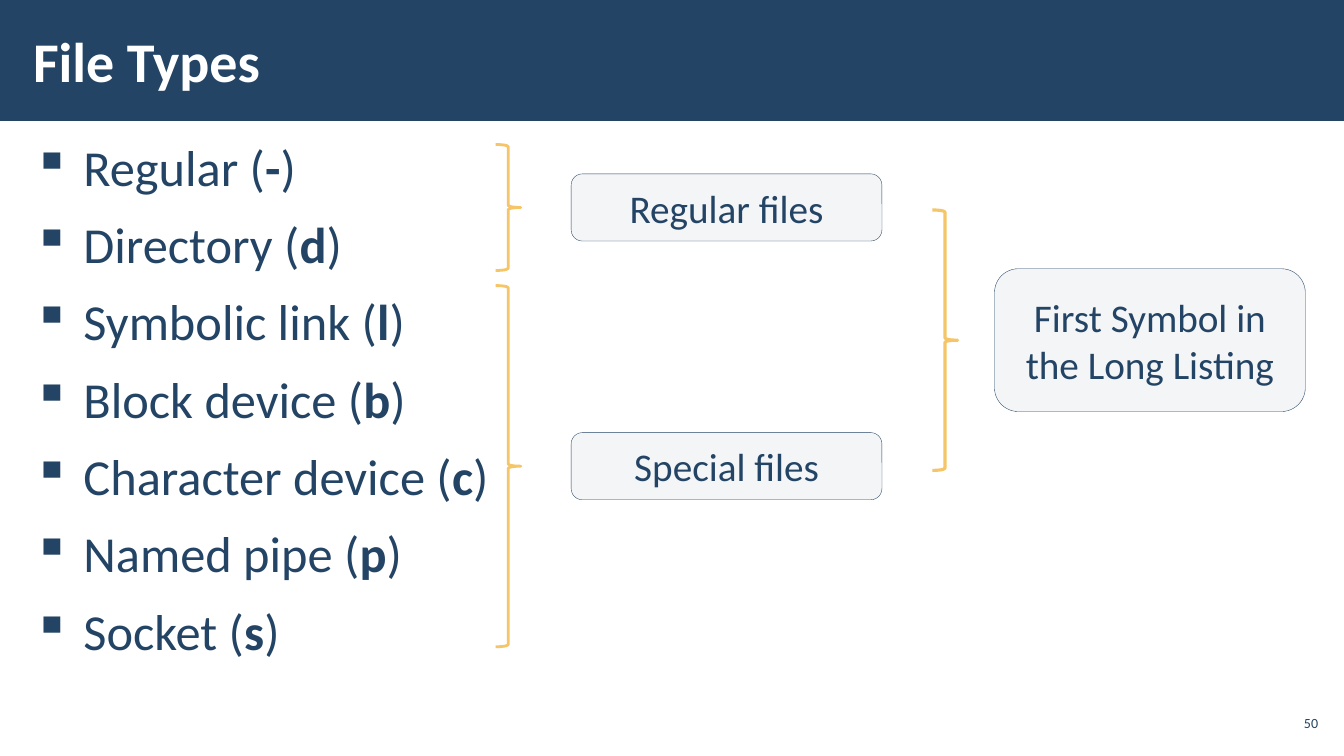
from dataclasses import dataclass

from lxml.etree import SubElement
from pptx import Presentation
from pptx.dml.color import RGBColor
from pptx.enum.shapes import MSO_SHAPE
from pptx.enum.text import MSO_ANCHOR, PP_ALIGN
from pptx.oxml.ns import qn
from pptx.util import Inches, Pt

COLS, ROWS = 160, 90  # grid cells of 1/12 inch


@dataclass(frozen=True)
class Theme:
    font: str = "Calibri"
    navy: str = "234465"
    white: str = "FFFFFF"
    pale: str = "F4F5F7"
    gold: str = "F5C567"
    title: int = 40
    body: int = 36
    label: int = 28
    small: int = 10
    gap: int = 6


class Deck:
    """Draws on one slide; every place is left, top, width, height in cells."""

    def __init__(self, theme):
        self.theme = theme
        self.file = Presentation()
        self.file.slide_width = self.cell(COLS)
        self.file.slide_height = self.cell(ROWS)
        self.slide = self.file.slides.add_slide(self.file.slide_layouts[6])

    def cell(self, count):
        return Inches(count / 12)

    def place(self, spot):
        return [self.cell(n) for n in spot]

    def style(self, par, size, color=None, bold=False):
        font = par.font
        font.name, font.size, font.bold = self.theme.font, Pt(size), bold
        font.color.rgb = RGBColor.from_string(color or self.theme.navy)

    def shape(self, kind, spot, fill=None, line=None, width=1):
        item = self.slide.shapes.add_shape(kind, *self.place(spot))
        item.shadow.inherit = False
        if fill:
            item.fill.solid()
            item.fill.fore_color.rgb = RGBColor.from_string(fill)
        else:
            item.fill.background()
        if line:
            item.line.color.rgb = RGBColor.from_string(line)
            item.line.width = Pt(width)
        else:
            item.line.fill.background()
        return item

    def frame(self, spot, side=0.12, anchor=MSO_ANCHOR.MIDDLE):
        frame = self.slide.shapes.add_textbox(*self.place(spot)).text_frame
        frame.word_wrap = True
        frame.vertical_anchor = anchor
        frame.margin_left = frame.margin_right = Inches(side)
        frame.margin_top = frame.margin_bottom = Inches(0.04)
        return frame

    def text(self, spot, words, size, color=None, bold=False,
             align=PP_ALIGN.LEFT, side=0.12):
        par = self.frame(spot, side).paragraphs[0]
        par.text, par.alignment = words, align
        self.style(par, size, color, bold)

    def list(self, spot, items):
        frame = self.frame(spot, anchor=MSO_ANCHOR.TOP)
        for row, (name, sign) in enumerate(items):
            par = frame.add_paragraph() if row else frame.paragraphs[0]
            props = par._p.get_or_add_pPr()
            props.set("marL", str(Inches(0.5)))
            props.set("indent", str(-Inches(0.5)))
            SubElement(props, qn("a:buChar")).set("char", "▪")
            if row:
                par.space_before = Pt(self.theme.gap)
            par.space_after = Pt(self.theme.gap)
            self.style(par, self.theme.body)
            for part in (f"{name} (", sign, ")"):
                run = par.add_run()
                run.text = part
                run.font.bold = part == sign

    def brace(self, spot, width=2):
        self.shape(MSO_SHAPE.RIGHT_BRACE, spot, line=self.theme.gold, width=width)

    def label(self, spot, words):
        box = self.shape(MSO_SHAPE.ROUNDED_RECTANGLE, spot, self.theme.pale,
                         self.theme.navy, 0.25)
        frame = box.text_frame
        frame.word_wrap = True
        frame.vertical_anchor = MSO_ANCHOR.MIDDLE
        par = frame.paragraphs[0]
        par.text, par.alignment = words, PP_ALIGN.CENTER
        self.style(par, self.theme.label)


def main():
    theme = Theme()
    deck = Deck(theme)

    # Title band
    deck.shape(MSO_SHAPE.RECTANGLE, (0, 0, COLS, 14.4), theme.navy)
    deck.text((2.5, 1.3, 124.7, 11.6), "File Types", theme.title,
              theme.white, bold=True)

    # File types and their symbols
    deck.list((2.5, 15.7, 155, 68.3), [
        ("Regular", "-"),
        ("Directory", "d"),
        ("Symbolic link", "l"),
        ("Block device", "b"),
        ("Character device", "c"),
        ("Named pipe", "p"),
        ("Socket", "s"),
    ])

    # Groups: a brace, then a label centred on it
    tall = 8
    for top, span, words in ((17.2, 15, "Regular files"),
                             (34, 43, "Special files")):
        deck.brace((59, top, 3, span))
        deck.label((68, top + (span - tall) / 2, 37, tall), words)

    # What both groups share
    deck.brace((111, 25, 3, 31), 2.25)
    deck.label((118.4, 32, 37, 17), "First Symbol in the Long Listing")

    # Slide number
    deck.text((151.8, 84, 5.6, 4.1), "50", theme.small,
              align=PP_ALIGN.RIGHT, side=0.04)

    deck.file.save("out.pptx")


if __name__ == "__main__":
    main()
